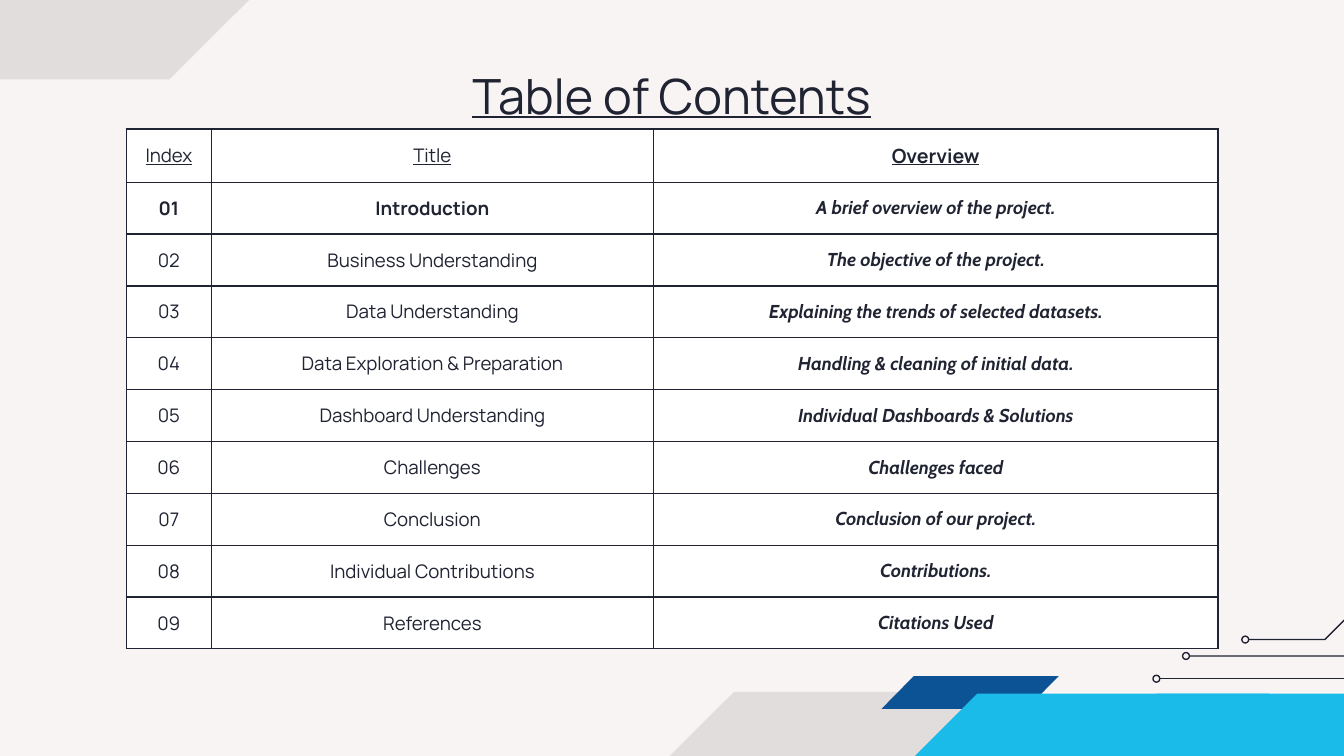
from pptx import Presentation
from pptx.dml.color import RGBColor
from pptx.enum import shapes, text
from pptx.oxml import parse_xml
from pptx.oxml.ns import nsdecls, qn
from pptx.util import Cm, Pt
from lxml import etree

INK, PAPER, WHITE = "202331", "F8F4F4", "FFFFFF"
BLACK, NAVY, CYAN = "000000", "0B5394", "1BBBE9"
HEADINGS = ["Index", "Title", "Overview"]
CONTENTS = [
    ("Introduction", "A brief overview of the project."),
    ("Business Understanding", "The objective of the project."),
    ("Data Understanding", "Explaining the trends of selected datasets."),
    ("Data Exploration & Preparation", "Handling & cleaning of initial data."),
    ("Dashboard Understanding", "Individual Dashboards & Solutions"),
    ("Challenges", "Challenges faced"),
    ("Conclusion", "Conclusion of our project."),
    ("Individual Contributions", "Contributions."),
    ("References", "Citations Used"),
]


def color(value):
    return RGBColor.from_string(value)


def write(frame, words, size=10, font="Manrope", bold=False, italic=False,
          underline=False, after=0):
    para = frame.paragraphs[0]
    para.alignment = text.PP_ALIGN.CENTER
    para.space_after = Pt(after)
    span = para.add_run()
    span.text = words
    span.font.size, span.font.name = Pt(size), font
    span.font.bold, span.font.italic = bold, italic
    span.font.underline = underline
    span.font.color.rgb = color(INK)


def ink_line(shape):
    shape.line.color.rgb = color(INK)
    shape.line.width = Pt(0.75)


def outline(page, left, top, points, closed=True):
    """Freeform whose points are in centimetres from left and top."""
    corners = [(Cm(left + x), Cm(top + y)) for x, y in points]
    builder = page.shapes.build_freeform(*corners[0])
    builder.add_line_segments(corners[1:], close=closed)
    shape = builder.convert_to_shape()
    shape.shadow.inherit = False
    return shape


def panel(page, left, top, points, fill, opacity=100):
    shape = outline(page, left, top, points)
    shape.fill.solid()
    shape.fill.fore_color.rgb = color(fill)
    shape.line.fill.background()
    if opacity < 100:
        tint = shape.fill._xPr.find(".//" + qn("a:srgbClr"))
        etree.SubElement(tint, qn("a:alpha")).set("val", str(opacity * 1000))
    return shape


def circuit(page, left, top):
    """Traces that run off to the right, each starting at a small ring."""
    ring = 0.13
    traces = [
        [(0.68, 0.8), (4.21, 0.8), (4.77, 0.24), (8.55, 0.24)],
        [(1.8, 0.49), (3.24, 0.49), (3.7, 0.03), (8.43, 0.03)],
        [(0.12, 1.23), (8.38, 1.23)],
    ]
    for points in traces:
        (x, y), (end_x, end_y) = points[0], points[-1]
        if len(points) == 2:
            trace = page.shapes.add_connector(
                shapes.MSO_CONNECTOR.STRAIGHT, Cm(left + x), Cm(top + y),
                Cm(left + end_x), Cm(top + end_y))
            etree.SubElement(trace._element.spPr, qn("a:effectLst"))
        else:
            trace = outline(page, left, top, points, closed=False)
            trace.fill.background()
        ink_line(trace)
        dot = page.shapes.add_shape(
            shapes.MSO_SHAPE.OVAL, Cm(left + x - ring),
            Cm(top + y - ring / 2), Cm(ring), Cm(ring))
        dot.shadow.inherit = False
        dot.fill.background()
        ink_line(dot)


def slanted_panels(page):
    slab = [(9.78, 0), (9.78, 5.11), (0, 5.11), (5.13, 0)]
    stepped = [(12.5, 0), (12.5, 5.79), (0, 5.79), (0, 3.81), (0.6, 3.81),
               (3.15, 1.27), (5.72, 1.27), (6.99, 0)]
    panel(page, 8.74, 13.08, slab, BLACK, opacity=9)
    panel(page, -1.45, -3.61, slab, BLACK, opacity=9).rotation = 180
    panel(page, 16.66, 12.78,
          [(3.35, 0), (2.74, 0.62), (0, 0.62), (0.61, 0)], NAVY)
    for left in (14.88, 11.48):
        panel(page, left, 13.11, stepped, CYAN)


def set_insets(holder):
    holder.margin_left = holder.margin_right = Cm(0.25)
    holder.margin_top = holder.margin_bottom = Cm(0.25)


def heading(page, left, top, width, height):
    title = page.shapes.title
    title.left, title.top = Cm(left), Cm(top)
    title.width, title.height = Cm(width), Cm(height)
    frame = title.text_frame
    frame.auto_size = text.MSO_AUTO_SIZE.NONE
    frame.vertical_anchor = text.MSO_ANCHOR.TOP
    set_insets(frame)
    write(frame, "Table of Contents", size=26, underline=True)


def style_cell(cell):
    properties = cell._tc.get_or_add_tcPr()
    for side in ("lnL", "lnR", "lnT", "lnB"):
        properties.append(parse_xml(
            f'<a:{side} {nsdecls("a")} w="{Pt(0.75)}"><a:solidFill>'
            f'<a:srgbClr val="{INK}"/></a:solidFill></a:{side}>'))
    cell.fill.solid()
    cell.fill.fore_color.rgb = color(WHITE)
    cell.vertical_anchor = text.MSO_ANCHOR.MIDDLE
    set_insets(cell)


def cell_format(row, column):
    if row == 0:
        if column == 2:
            return dict(size=10.5, bold=True, underline=True, after=16)
        return dict(underline=True)
    if column == 2:
        return dict(font="Cabin", bold=True, italic=True, after=16)
    return dict(bold=row == 1)


def contents_table(page, left, top, widths, head_height, row_height):
    rows = [HEADINGS] + [(f"{number:02}", *entry)
                         for number, entry in enumerate(CONTENTS, 1)]
    height = head_height + row_height * len(CONTENTS)
    table = page.shapes.add_table(len(rows), len(widths), Cm(left), Cm(top),
                                  Cm(sum(widths)), Cm(height)).table
    table.first_row = table.horz_banding = False
    for column, width in zip(table.columns, widths):
        column.width = Cm(width)
    for r, words in enumerate(rows):
        table.rows[r].height = Cm(row_height if r else head_height)
        for c, word in enumerate(words):
            cell = table.cell(r, c)
            style_cell(cell)
            write(cell.text_frame, word, **cell_format(r, c))


def main():
    deck = Presentation()
    deck.slide_width, deck.slide_height = Cm(25.4), Cm(14.29)
    page = deck.slides.add_slide(deck.slide_layouts[5])
    page.background.fill.solid()
    page.background.fill.fore_color.rgb = color(PAPER)
    circuit(page, 21.8, 11.6)
    slanted_panels(page)
    heading(page, 2, 0.99, 21.4, 1.6)
    contents_table(page, 2.39, 2.44, [1.6, 8.36, 10.67], 0.97, 0.81)
    deck.save("out.pptx")


if __name__ == "__main__":
    main()
